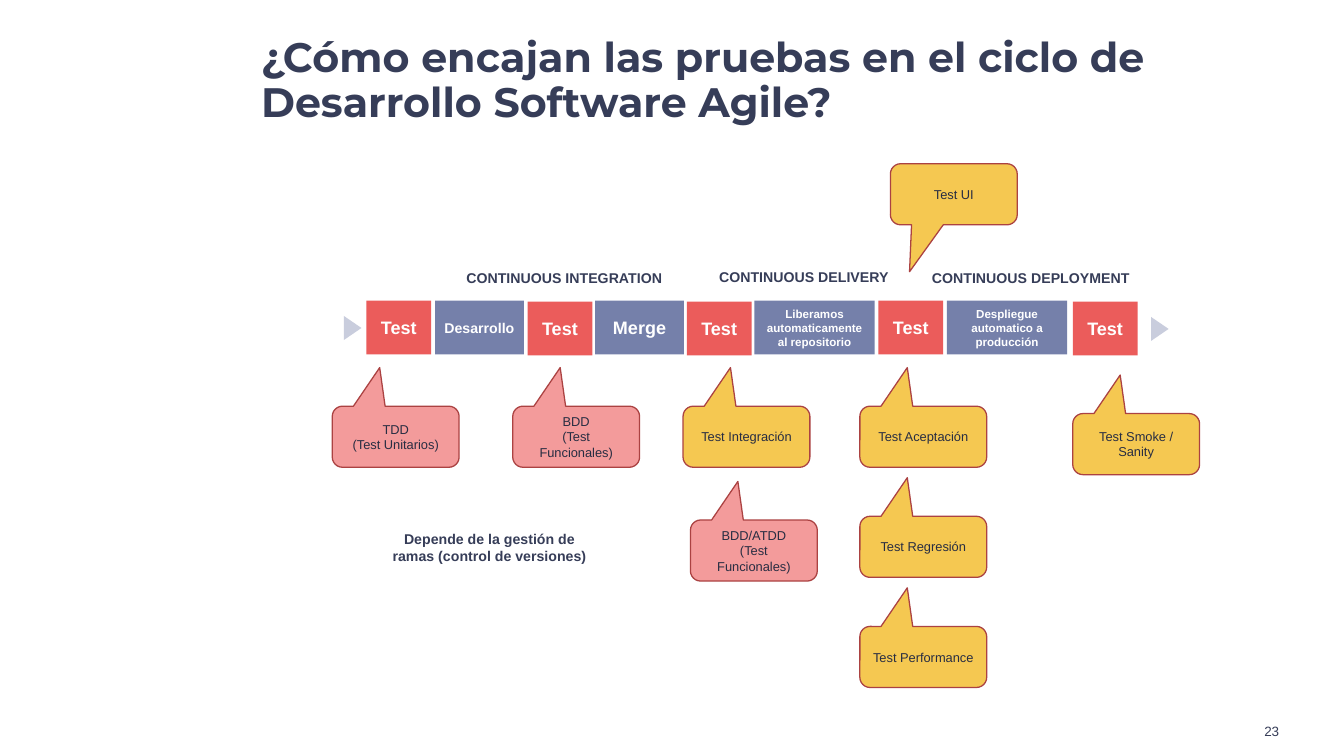
"""Build the slide on how tests fit into the agile development cycle."""
from pptx import Presentation
from pptx.dml.color import RGBColor
from pptx.enum.shapes import MSO_SHAPE
from pptx.enum.text import MSO_ANCHOR, PP_ALIGN
from pptx.util import Inches, Pt

NAVY = RGBColor(0x36, 0x3D, 0x58)
INK = RGBColor(0x28, 0x2D, 0x42)
WHITE = RGBColor(0xFF, 0xFF, 0xFF)
RED = RGBColor(0xEB, 0x5C, 0x5B)
BLUE = RGBColor(0x75, 0x80, 0xAA)
PALE_BLUE = RGBColor(0xC9, 0xCD, 0xDD)
PINK = RGBColor(0xF3, 0x9B, 0x9B)
YELLOW = RGBColor(0xF5, 0xC8, 0x51)
DARK_RED = RGBColor(0xAB, 0x42, 0x42)


def write(item, text, size, color, bold=False, align=PP_ALIGN.CENTER, anchor=MSO_ANCHOR.MIDDLE, font="Arial"):
    frame = item.text_frame
    frame.text = text
    frame.word_wrap = True
    frame.vertical_anchor = anchor
    for paragraph in frame.paragraphs:
        paragraph.alignment = align
        paragraph.font.name = font
        paragraph.font.size = Pt(size)
        paragraph.font.bold = bold
        paragraph.font.color.rgb = color
    return frame


def add_block(kind, left, top, width, height, fill, outline=None):
    block = slide.shapes.add_shape(kind, Inches(left), Inches(top), Inches(width), Inches(height))
    block.shadow.inherit = False
    block.fill.solid()
    block.fill.fore_color.rgb = fill
    if outline is None:
        block.line.fill.background()
    else:
        block.line.color.rgb = outline
        block.line.width = Pt(1)
    return block


prs = Presentation()
prs.slide_width = Inches(14.52)
prs.slide_height = Inches(8.17)
slide = prs.slides.add_slide(prs.slide_layouts[5])

title = slide.shapes.title
title.left, title.top = Inches(2.82), Inches(0.35)
title.width, title.height = Inches(11.37), Inches(0.66)
title_frame = write(title, "¿Cómo encajan las pruebas en el ciclo de Desarrollo Software Agile?", 32, NAVY,
                    True, PP_ALIGN.LEFT, MSO_ANCHOR.TOP, "Montserrat")
title_frame.margin_left = title_frame.margin_right = 0
title_frame.paragraphs[0].line_spacing = 0.9

page_number = slide.shapes.add_textbox(Inches(11.78), Inches(7.71), Inches(2.04), Inches(0.28))
number_frame = write(page_number, "23", 10.5, NAVY, align=PP_ALIGN.RIGHT)
number_frame.margin_left = number_frame.margin_right = number_frame.margin_bottom = 0
number_frame.margin_top = Inches(0.1)

stages = [
    ("Test", 3.96, 3.25, 0.7, RED, 14),
    ("Desarrollo", 4.7, 3.25, 0.96, BLUE, 11),
    ("Test", 5.7, 3.26, 0.7, RED, 14),
    ("Merge", 6.43, 3.25, 0.96, BLUE, 14),
    ("Test", 7.42, 3.26, 0.7, RED, 14),
    ("Liberamos automaticamente al repositorio", 8.15, 3.25, 1.3, BLUE, 9),
    ("Test", 9.49, 3.25, 0.7, RED, 14),
    ("Despliegue automatico a producción", 10.23, 3.25, 1.3, BLUE, 9),
    ("Test", 11.59, 3.26, 0.7, RED, 14),
]
for label, left, top, width, fill, size in stages:
    stage = add_block(MSO_SHAPE.RECTANGLE, left, top, width, 0.58, fill)
    write(stage, label, size, WHITE, True)

for left, top in [(3.68, 3.45), (12.4, 3.46)]:
    flow_marker = add_block(MSO_SHAPE.ISOSCELES_TRIANGLE, left, top, 0.26, 0.19, PALE_BLUE)
    flow_marker.rotation = 90

captions = [
    ("CONTINUOUS INTEGRATION", 4.94, 2.86, 2.46, 0.29, PP_ALIGN.JUSTIFY),
    ("CONTINUOUS DELIVERY", 7.67, 2.85, 2.31, 0.29, PP_ALIGN.JUSTIFY),
    ("CONTINUOUS DEPLOYMENT", 9.97, 2.86, 2.46, 0.29, PP_ALIGN.JUSTIFY),
    ("Depende de la gestión de ramas (control de versiones)", 4.06, 5.68, 2.46, 0.47, PP_ALIGN.CENTER),
]
for label, left, top, width, height, align in captions:
    caption = slide.shapes.add_textbox(Inches(left), Inches(top), Inches(width), Inches(height))
    write(caption, label, 11, NAVY, True, align, MSO_ANCHOR.TOP)

TAIL_UP = (-0.126, -1.132)
TAIL_DOWN = (-0.349, 1.268)
test_types = [
    ("TDD\n(Test Unitarios)", 3.59, 4.39, PINK, TAIL_UP),
    ("BDD\n(Test Funcionales)", 5.54, 4.39, PINK, TAIL_UP),
    ("Test Integración", 7.38, 4.39, YELLOW, TAIL_UP),
    ("BDD/ATDD\n(Test Funcionales)", 7.46, 5.62, PINK, TAIL_UP),
    ("Test Aceptación", 9.29, 4.39, YELLOW, TAIL_UP),
    ("Test UI", 9.62, 1.77, YELLOW, TAIL_DOWN),
    ("Test Smoke / Sanity", 11.59, 4.47, YELLOW, TAIL_UP),
    ("Test Regresión", 9.29, 5.58, YELLOW, TAIL_UP),
    ("Test Performance", 9.29, 6.77, YELLOW, TAIL_UP),
]
for label, left, top, fill, tail in test_types:
    callout = add_block(MSO_SHAPE.ROUNDED_RECTANGULAR_CALLOUT, left, top, 1.37, 0.66, fill, DARK_RED)
    callout.adjustments[0], callout.adjustments[1] = tail
    callout.adjustments[2] = 0.167
    write(callout, label, 10, INK)

prs.save("out.pptx")
